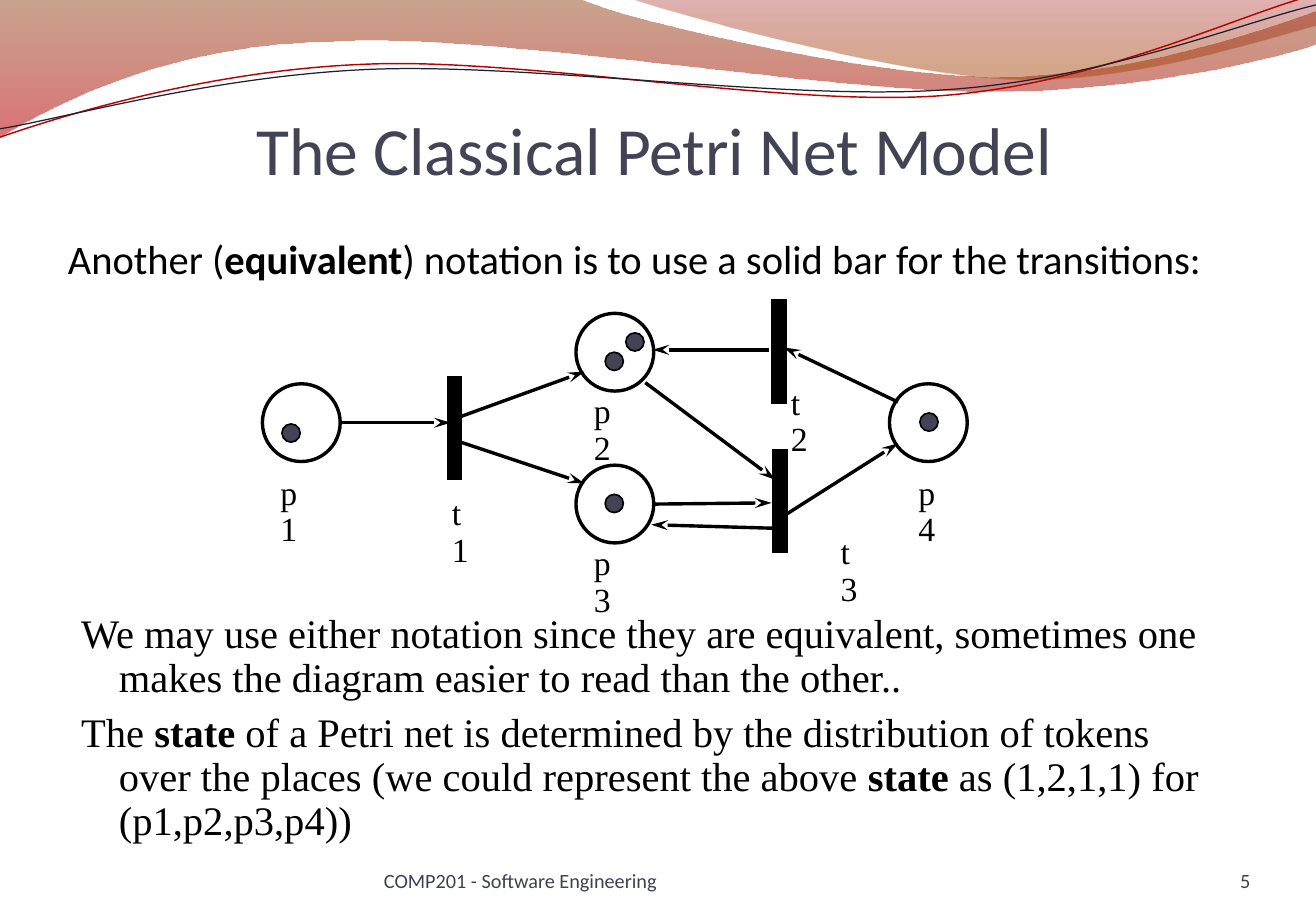
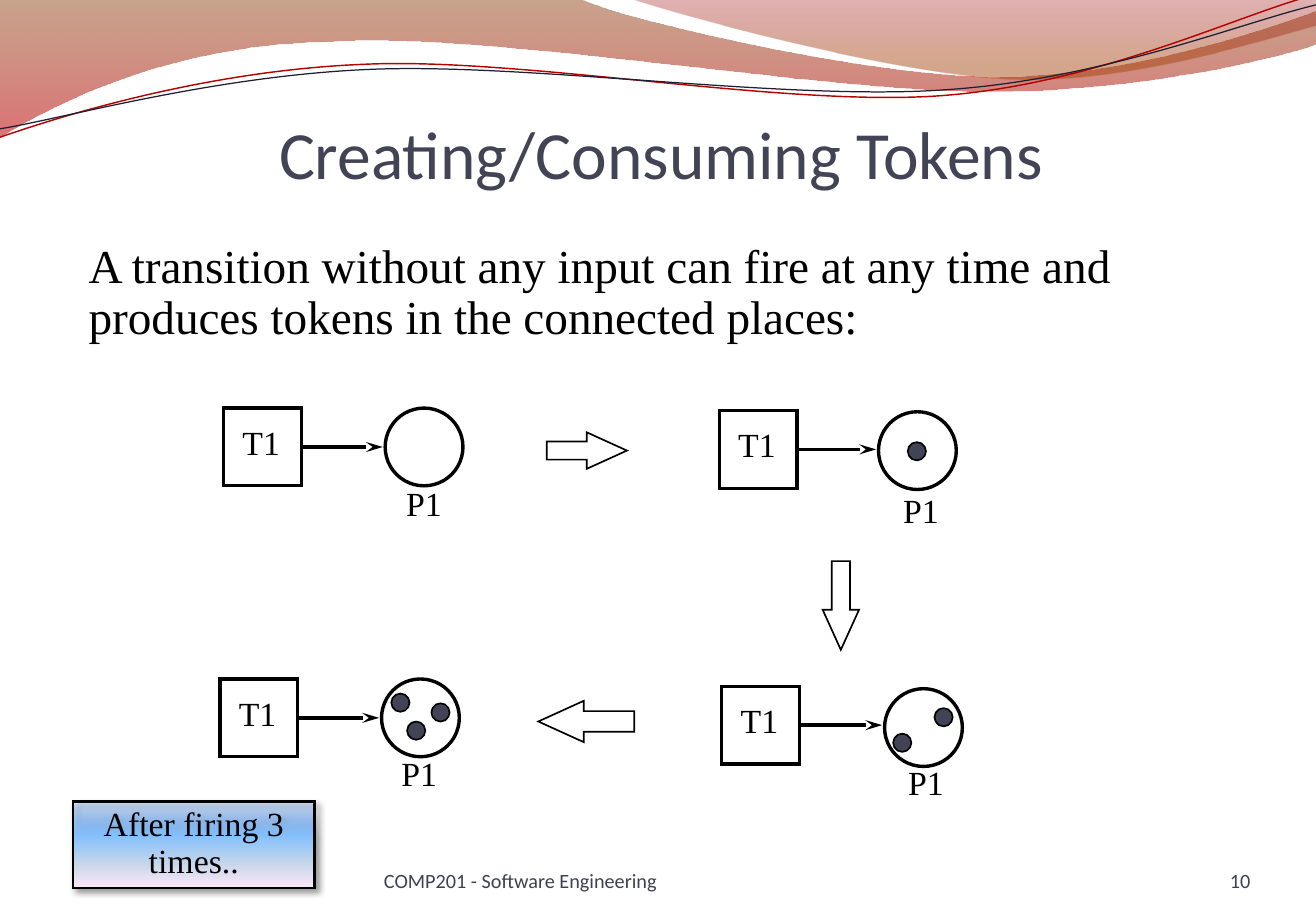
import pptx
import pptx.util
import pptx.oxml.ns
import pptx.dml.color
import pptx.enum.shapes
import pptx.enum.text
from lxml import etree

Inches = pptx.util.Inches
Pt = pptx.util.Pt
qn = pptx.oxml.ns.qn
FORM = pptx.enum.shapes.MSO_SHAPE
ALIGN = pptx.enum.text.PP_ALIGN
ANCHOR = pptx.enum.text.MSO_ANCHOR

HUES = {
    "ink": "000000", "slate": "424456", "foot": "3F4152",
    "red": "B60202", "navy": "1F1F33",
    "rust": "883400", "blood": "BD0000", "wine": "9A0000", "clay": "A23E00",
    "blue": "5E9EFF", "sky": "85C2FF", "mist": "C4D6EB", "blush": "FFEBFA",
}
SANS, SERIF = "Calibri", "Times New Roman"
SIDE, DOT = 0.64, 0.15
INSETS = (0.1, 0.05, 0.1, 0.05)

WAVES = [
    ([(0, 0), (4.77, -0.01),
      (5.15, 0.17, 7.19, 0.63, 8.22, 0.63), (9.24, 0.63, 10.38, 0.26, 10.83, 0.09),
      (10.84, 0.36),
      (10.65, 0.44, 9.42, 0.76, 8.08, 0.75), (6.74, 0.75, 4.14, 0.28, 2.79, 0.34),
      (1.4, 0.36, 0.5, 0.83, -0.01, 1.13)],
     [(0, "rust", 45), (100, "blood", 55)]),
    ([(5.19, -0.01),
      (5.52, 0.11, 7.39, 0.62, 8.33, 0.65), (9.27, 0.69, 10.42, 0.32, 10.83, 0.21),
      (10.83, 0)],
     [(0, "wine", 30), (80, "clay", 45)]),
]
CURVES = [
    ([(0, 1.13), (0.52, 0.95, 1.71, 0.58, 3, 0.53), (4.28, 0.47, 6.42, 0.88, 7.72, 0.79),
      (9.02, 0.7, 10.17, 0.13, 10.81, -0.04)], "red", 0.85),
    ([(0, 1.06), (0.51, 0.98, 1.77, 0.62, 3.07, 0.57), (4.36, 0.52, 6.47, 0.83, 7.76, 0.74),
      (9.06, 0.66, 10.2, 0.19, 10.83, 0.04)], "navy", 0.75),
]


def color(name):
    return pptx.dml.color.RGBColor.from_string(HUES[name])


def tint(parent, name, alpha):
    node = etree.SubElement(parent, qn("a:srgbClr"), val=HUES[name])
    if alpha < 100:
        etree.SubElement(node, qn("a:alpha"), val=str(alpha * 1000))


def shade(shape, stops):
    shape.fill.gradient()
    shape.fill.gradient_angle = 270
    group = shape._element.spPr.find(".//" + qn("a:gsLst"))
    for old in list(group):
        group.remove(old)
    for place, name, alpha in stops:
        tint(etree.SubElement(group, qn("a:gs"), pos=str(place * 1000)), name, alpha)


def stroke(shape, name, width):
    shape.line.color.rgb = color(name)
    shape.line.width = Pt(width)


def sweep(slide, steps, close):
    ends = [(Inches(step[-2]), Inches(step[-1])) for step in steps]
    pen = slide.shapes.build_freeform(*ends[0], scale=1.0)
    pen.add_line_segments(ends[1:], close=close)
    shape = pen.convert_to_shape()
    shape.shadow.inherit = False
    sides = list(shape._element.spPr.iter(qn("a:lnTo")))
    for side, step in zip(sides, steps[1:]):
        if len(step) == 6:
            bend = etree.Element(qn("a:cubicBezTo"))
            for x, y in zip(step[::2], step[1::2]):
                etree.SubElement(bend, qn("a:pt"), x=str(Inches(x) - shape.left),
                                 y=str(Inches(y) - shape.top))
            side.getparent().replace(side, bend)
    return shape


def form(slide, kind, rect, width=2, fill=None):
    shape = slide.shapes.add_shape(kind, *map(Inches, rect))
    shape.shadow.inherit = False
    if fill:
        shape.fill.solid()
        shape.fill.fore_color.rgb = color(fill)
    else:
        shape.fill.background()
    stroke(shape, "ink", width)
    etree.SubElement(shape._element.spPr.find(qn("a:ln")), qn("a:miter"), lim="800000")
    return shape


def place(slide, x, y):
    form(slide, FORM.OVAL, (x, y, SIDE, SIDE))


def token(slide, x, y):
    form(slide, FORM.OVAL, (x, y, DOT, DOT), 1, "slate")


def bar(slide, x, y):
    form(slide, FORM.RECTANGLE, (x, y, 0.1, 0.83), 2, "ink")


def arrow(slide, x1, y1, x2, y2):
    line = slide.shapes.add_connector(
        pptx.enum.shapes.MSO_CONNECTOR.STRAIGHT, *map(Inches, (x1, y1, x2, y2)))
    stroke(line, "ink", 2)
    etree.SubElement(line._element.spPr.find(qn("a:ln")), qn("a:tailEnd"),
                     type="stealth", w="med", len="lg")
    etree.SubElement(line._element.spPr, qn("a:effectLst"))


def write(shape, paras, size, font=SERIF, hue="ink", align=ALIGN.LEFT, anchor=ANCHOR.TOP,
          insets=INSETS, wrap=True, pitch=0.9, hang=0, gap=0):
    frame = shape.text_frame
    frame.word_wrap = wrap
    frame.vertical_anchor = anchor
    (frame.margin_left, frame.margin_top,
     frame.margin_right, frame.margin_bottom) = map(Inches, insets)
    for i, runs in enumerate(paras):
        para = frame.add_paragraph() if i else frame.paragraphs[0]
        para.alignment = align
        para.line_spacing = pitch
        if i:
            para.space_before = Pt(gap)
        if hang:
            props = para._p.get_or_add_pPr()
            props.set("marL", str(Inches(hang)))
            props.set("indent", str(-Inches(hang)))
        for words, bold in runs:
            run = para.add_run()
            run.text = words
            run.font.name = font
            run.font.size = Pt(size)
            run.font.bold = bold
            run.font.color.rgb = color(hue)


def text(slide, rect, paras, size, **style):
    write(slide.shapes.add_textbox(*map(Inches, rect)), paras, size, **style)


def plain(words):
    return [[(words, False)]]


def label(slide, words, x, y):
    text(slide, (x, y, 0.6, 0.4), plain(words), 20, align=ALIGN.CENTER, wrap=False)


def stack(slide, words, x, y):
    text(slide, (x, y, 0.36, 0.4), plain(words), 20)


def base(deck, title, rect, number):
    slide = deck.slides.add_slide(deck.slide_layouts[6])
    for steps, stops in WAVES:
        wave = sweep(slide, steps, True)
        shade(wave, stops)
        wave.line.fill.background()
    for steps, hue, width in CURVES:
        curve = sweep(slide, steps, False)
        curve.fill.background()
        stroke(curve, hue, width)
    text(slide, rect, plain(title), 40, font=SANS, hue="slate", align=ALIGN.CENTER,
         anchor=ANCHOR.BOTTOM, insets=(0, 0.05, 0, 0), pitch=1.0)
    for x, width, words, align in (
            (3.16, 3.97, "COMP201 - Software Engineering", ALIGN.LEFT),
            (9.39, 0.9, number, ALIGN.RIGHT)):
        text(slide, (x, 6.95, width, 0.4), plain(words), 12, font=SANS, hue="foot",
             align=align, anchor=ANCHOR.BOTTOM, insets=(0, 0, 0, 0), pitch=1.0)
    return slide


def model(deck):
    slide = base(deck, "The Classical Petri Net Model", (0.65, 0.39, 9.47, 1.17), "5")
    text(slide, (0.46, 1.88, 9.62, 0.9),
         [[("Another (", False), ("equivalent", True),
           (") notation is to use a solid bar for the transitions:", False)]],
         24, font=SANS, pitch=1.0, hang=0.3)
    for spot in ((2.16, 3.16), (4.74, 2.58), (4.74, 3.83), (7.32, 3.16)):
        place(slide, *spot)
    for spot in ((2.32, 3.49), (4.98, 2.9), (5.15, 2.74), (4.98, 4.07), (7.57, 3.4)):
        token(slide, *spot)
    for ends in ((2.81, 3.48, 3.71, 3.48), (7.39, 3.31, 6.45, 2.86),
                 (6.43, 4.26, 7.39, 3.65), (3.79, 3.43, 4.81, 3.06),
                 (5.39, 4.15, 6.35, 4.14), (3.76, 3.63, 4.81, 3.98),
                 (6.33, 2.88, 5.37, 2.88), (5.31, 3.15, 6.38, 3.95),
                 (6.39, 4.35, 5.36, 4.32)):
        arrow(slide, *ends)
    for spot in ((3.69, 3.11), (6.36, 2.48), (6.37, 3.71)):
        bar(slide, *spot)
    for words, x, y in (("p1", 2.21, 3.87), ("p2", 4.79, 3.2), ("p3", 4.79, 4.45),
                        ("p4", 7.46, 3.87), ("t1", 3.62, 4.04), ("t2", 6.41, 3.13),
                        ("t3", 6.82, 4.36)):
        stack(slide, words, x, y)
    text(slide, (0.57, 5, 9.61, 1.95),
         [[("We may use either notation since they are equivalent, sometimes one makes "
            "the diagram easier to read than the other..", False)],
          [("The ", False), ("state ", True),
           ("of a Petri net is determined by the distribution of tokens over the places "
            "(we could represent the above ", False),
           ("state", True), (" as (1,2,1,1) for (p1,p2,p3,p4))", False)]],
         24, hang=0.31, gap=7.2)


def net(slide, box, ring, name, dots):
    x, y = box
    form(slide, FORM.RECTANGLE, (x, y, SIDE, SIDE))
    place(slide, *ring)
    arrow(slide, x + SIDE, y + SIDE / 2, ring[0] - 0.02, y + SIDE / 2)
    for dot in dots:
        token(slide, *dot)
    label(slide, "T1", x + 0.01, y + 0.1)
    label(slide, "P1", *name)


def firing(deck):
    slide = base(deck, "Creating/Consuming Tokens", (0.86, 0.5, 9.16, 1.09), "10")
    text(slide, (0.63, 1.95, 9.31, 0.95),
         plain("A transition without any input can fire at any time and produces tokens "
               "in the connected places:"), 28)
    net(slide, (1.84, 3.36), (3.17, 3.36), (3.19, 3.96), [])
    net(slide, (5.92, 3.38), (7.23, 3.39), (7.28, 4.02), [(7.47, 3.64)])
    net(slide, (5.94, 5.65), (7.28, 5.67), (7.32, 6.26), [(7.69, 5.83), (7.35, 6.04)])
    net(slide, (1.81, 5.59), (3.14, 5.59), (3.15, 6.19),
        [(3.35, 5.94), (3.22, 5.71), (3.55, 5.79)])
    for kind, rect in ((FORM.RIGHT_ARROW, (4.5, 3.56, 0.66, 0.3)),
                       (FORM.DOWN_ARROW, (6.77, 4.62, 0.3, 0.73)),
                       (FORM.LEFT_ARROW, (4.43, 5.77, 0.79, 0.34))):
        block = form(slide, kind, rect, 1)
        block.adjustments[0] = 0.5
        block.adjustments[1] = 1.1
    note = form(slide, FORM.RECTANGLE, (0.6, 6.6, 1.99, 0.71), 1.5)
    shade(note, [(0, "blue", 17), (40, "sky", 100), (70, "mist", 100), (100, "blush", 100)])
    cast = etree.SubElement(
        note._element.spPr.find(qn("a:effectLst")), qn("a:outerShdw"),
        blurRad=str(Pt(4)), dist=str(Pt(3)), dir=str(45 * 60000),
        algn="tl", rotWithShape="0")
    tint(cast, "ink", 40)
    write(note, plain("After firing 3 times.."), 20, align=ALIGN.CENTER)


def main():
    deck = pptx.Presentation()
    deck.slide_width = Inches(10.83)
    deck.slide_height = Inches(7.5)
    model(deck)
    firing(deck)
    deck.save("out.pptx")


if __name__ == "__main__":
    main()
